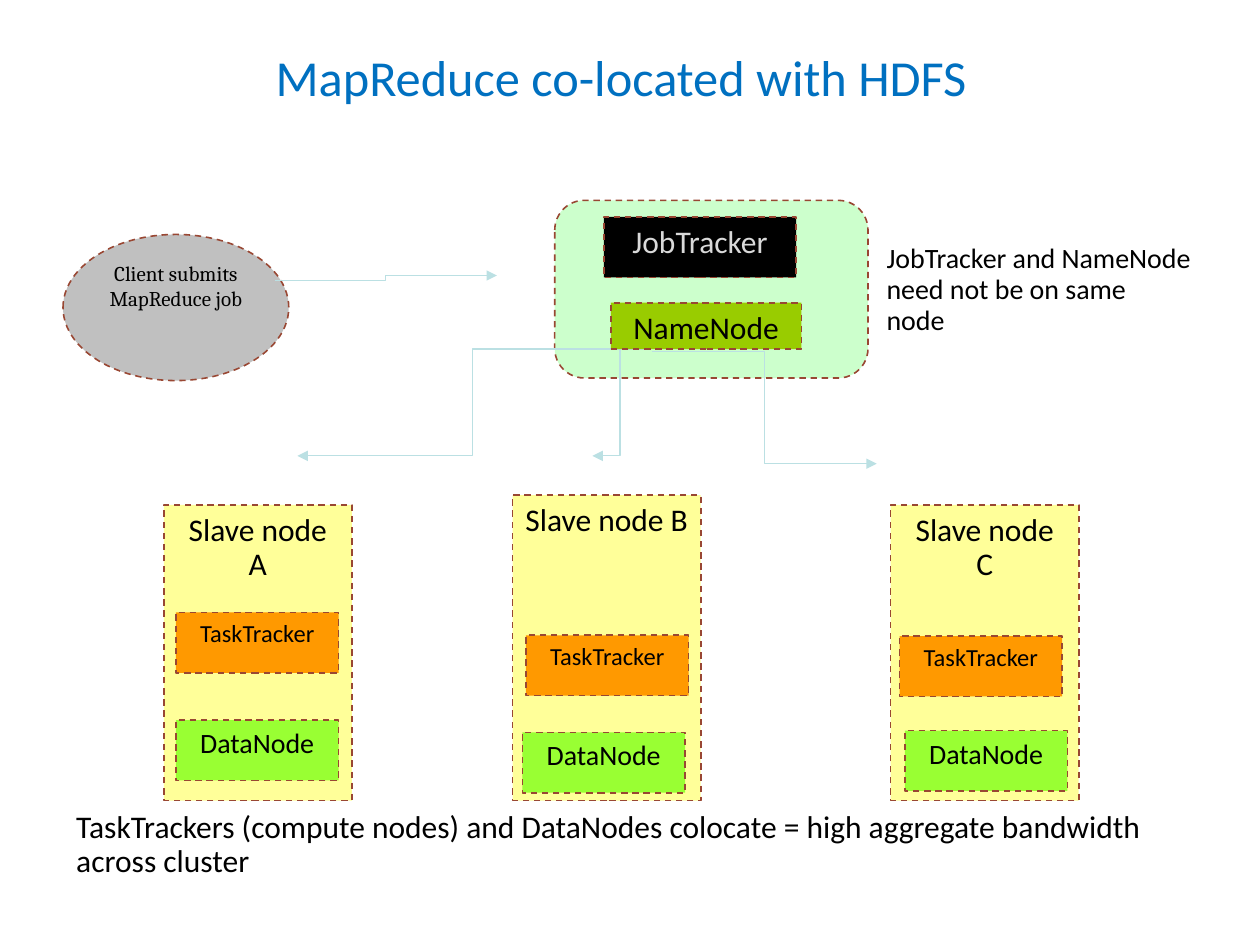
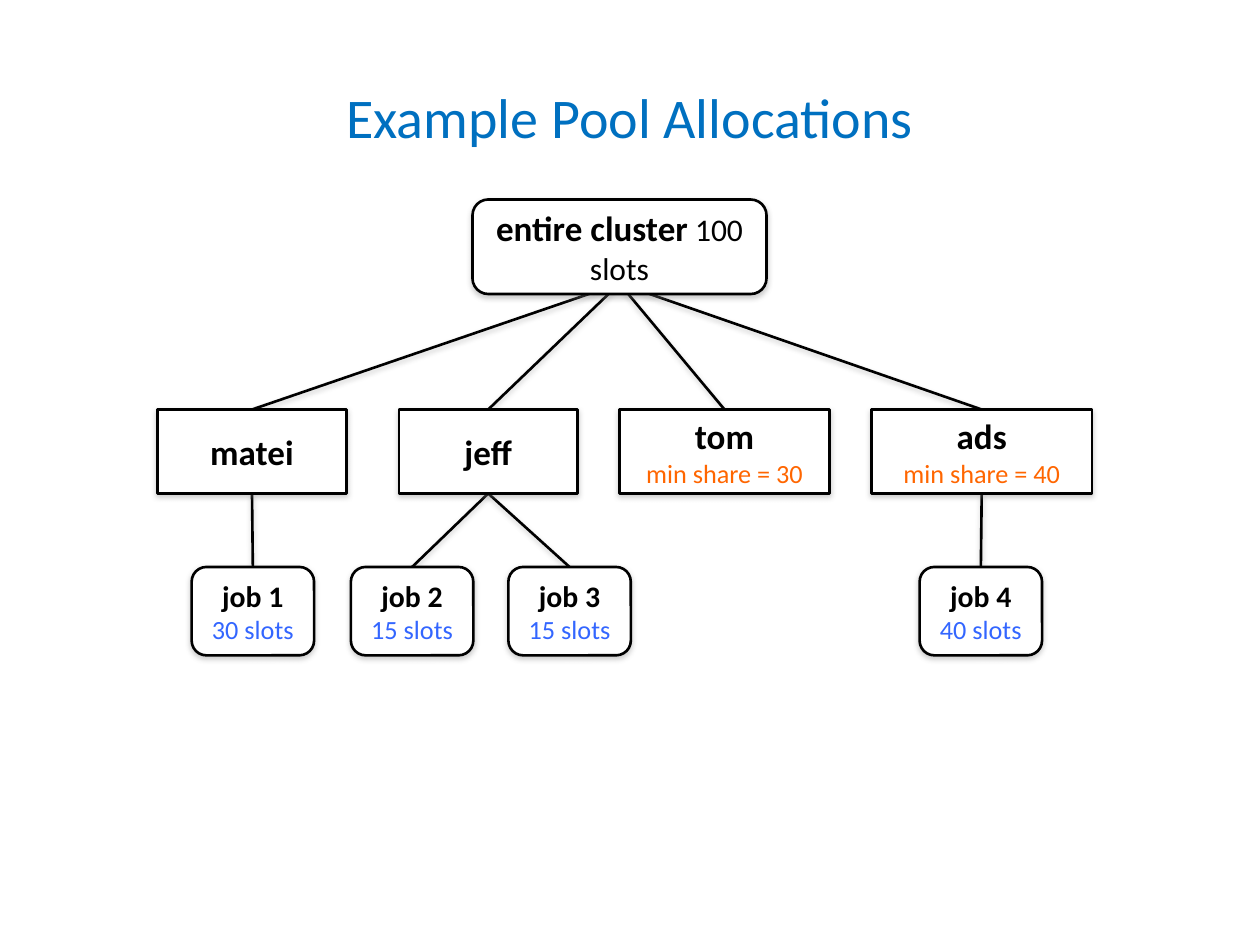
from dataclasses import dataclass

from lxml.etree import SubElement
from pptx import Presentation
from pptx.dml.color import RGBColor
from pptx.enum.dml import MSO_LINE
from pptx.enum.shapes import MSO_CONNECTOR, MSO_SHAPE
from pptx.enum.text import MSO_ANCHOR, PP_ALIGN
from pptx.oxml.ns import qn
from pptx.util import Pt


@dataclass(frozen=True)
class Theme:
    font: str = "Calibri"
    serif: str = "Cambria"
    title: str = "0070C0"
    ink: str = "000000"
    paper: str = "FFFFFF"
    pale: str = "D9D9D9"
    dash: str = "994733"
    arrow: str = "BBE0E3"
    client: str = "C0C0C0"
    master: str = "CCFFCC"
    name: str = "99CC00"
    slave: str = "FFFF99"
    task: str = "FF9900"
    data: str = "99FF33"
    share: str = "FF6600"
    slots: str = "3366FF"
    shade: str = "808080"
    dash_width: float = 0.91
    arrow_width: float = 0.75
    tree_width: float = 1.5
    tight: float = 0.91
    loose: float = 0.98
    huge: float = 32
    large: float = 28.8
    pool: float = 20
    head: float = 18
    job: float = 17
    body: float = 16
    note: float = 15
    small: float = 14
    tiny: float = 12


T = Theme()
INSETS = (7.2, 5.2, 7.2, 3.6)
RECT, ROUND, OVAL = MSO_SHAPE.RECTANGLE, MSO_SHAPE.ROUNDED_RECTANGLE, MSO_SHAPE.OVAL


def rgb(code):
    return RGBColor.from_string(code)


def put_run(para, text, size, color=T.ink, bold=False, font=T.font):
    run = para.add_run()
    run.text = text
    run.font.name = font
    run.font.size = Pt(size)
    run.font.bold = bold
    run.font.color.rgb = rgb(color)


def fill_text(frame, paras, align=PP_ALIGN.CENTER, anchor=MSO_ANCHOR.MIDDLE,
              spacing=None, insets=None):
    """Write paragraphs, each a list of run tuples for put_run."""
    frame.word_wrap = True
    frame.vertical_anchor = anchor
    if insets:
        (frame.margin_left, frame.margin_top,
         frame.margin_right, frame.margin_bottom) = map(Pt, insets)
    for i, runs in enumerate(paras):
        para = frame.add_paragraph() if i else frame.paragraphs[0]
        para.alignment = align
        para.line_spacing = spacing
        for run in runs:
            put_run(para, *run)


def add_slide(deck, title, size, place, spacing=None):
    slide = deck.slides.add_slide(deck.slide_layouts[5])
    head = slide.shapes.title
    head.left, head.top, head.width, head.height = map(Pt, place)
    fill_text(head.text_frame, [[(title, size, T.title)]], spacing=spacing)
    return slide


def add_box(slide, kind, place, fill, line, width):
    box = slide.shapes.add_shape(kind, *map(Pt, place))
    box.shadow.inherit = False
    box.fill.solid()
    box.fill.fore_color.rgb = rgb(fill)
    box.line.color.rgb = rgb(line)
    box.line.width = Pt(width)
    return box


def add_line(slide, kind, start, end, color, width):
    line = slide.shapes.add_connector(kind, *map(Pt, start + end))
    line.line.color.rgb = rgb(color)
    line.line.width = Pt(width)
    SubElement(line._element.spPr, qn("a:effectLst"))
    return line


def add_shade(shape):
    """Give a soft drop shadow to a shape that has an empty effect list."""
    effects = shape._element.spPr.find(qn("a:effectLst"))
    shade = SubElement(effects, qn("a:outerShdw"), blurRad=str(Pt(3.1)),
                       dist=str(Pt(1.6)), dir="5400000", rotWithShape="0")
    color = SubElement(shade, qn("a:srgbClr"), val=T.shade)
    SubElement(color, qn("a:alpha"), val="38000")


def add_dashed(slide, place, fill, lines=(), size=T.head, color=T.ink,
               kind=RECT, font=T.font, spacing=T.tight, insets=INSETS):
    box = add_box(slide, kind, place, fill, T.dash, T.dash_width)
    box.line.dash_style = MSO_LINE.DASH
    fill_text(box.text_frame, [[(line, size, color, False, font)] for line in lines],
              anchor=MSO_ANCHOR.TOP, spacing=spacing, insets=insets)


def add_arrow(slide, start, end):
    line = add_line(slide, MSO_CONNECTOR.ELBOW, start, end, T.arrow, T.arrow_width)
    SubElement(line.line._get_or_add_ln(), qn("a:tailEnd"), type="triangle")


def add_note(slide, place, lines, size):
    box = slide.shapes.add_textbox(*map(Pt, place))
    fill_text(box.text_frame, [[(line, size)] for line in lines], PP_ALIGN.LEFT,
              MSO_ANCHOR.TOP, T.tight, INSETS)


def add_node(slide, kind, place, paras):
    box = add_box(slide, kind, place, T.paper, T.ink, T.tree_width)
    add_shade(box)
    fill_text(box.text_frame, paras)


def add_branch(slide, start, end):
    add_shade(add_line(slide, MSO_CONNECTOR.STRAIGHT, start, end, T.ink, T.tree_width))


def draw_hdfs(deck):
    slide = add_slide(deck, "MapReduce co-located with HDFS", T.large,
                      (24, 24, 662, 42), T.loose)
    add_dashed(slide, (36, 134, 129, 83.5), T.client, ["Client submits MapReduce job"],
               T.tiny, kind=OVAL, font=T.serif, spacing=T.loose,
               insets=(7.2, 3.6, 7.2, 3.6))
    add_arrow(slide, (157, 160.5), (284, 157.5))
    add_dashed(slide, (317, 114.5, 179, 101.5), T.master, kind=ROUND)
    add_dashed(slide, (345, 124, 110, 34.5), T.ink, ["JobTracker"], color=T.pale)

    # label, slave box, then corners of its task and data boxes
    slaves = [
        (["Slave node", "A"], (93.6, 288.5, 107.5, 169), (100.5, 350), (100.5, 411.5)),
        (["Slave node B"], (293, 283, 107.5, 174.5), (300.5, 363), (298.5, 418.5)),
        (["Slave node", "C"], (509, 288.5, 107.5, 169), (514, 363.5), (517, 417.5)),
    ]
    for label, place, task, data in slaves:
        add_dashed(slide, place, T.slave, label)
        add_dashed(slide, (*task, 93, 34.5), T.task, ["TaskTracker"], T.small)
        add_dashed(slide, (*data, 93, 34.5), T.data, ["DataNode"], T.body)

    add_arrow(slide, (370, 199.5), (170, 260.5))
    add_arrow(slide, (370, 199.5), (338.5, 260.5))
    add_arrow(slide, (372.5, 201), (501, 265))
    add_dashed(slide, (349, 173, 109, 26.5), T.name, ["NameNode"])
    add_note(slide, (499.5, 134.5, 220, 76),
             ["JobTracker and NameNode", "need not be on same", "node"], T.body)
    add_note(slide, (36.5, 458, 662, 46),
             ["TaskTrackers (compute nodes) and DataNodes colocate = "
              "high aggregate bandwidth across cluster"], T.head)


def draw_pools(deck):
    slide = add_slide(deck, "Example Pool Allocations", T.huge, (36, 21.6, 648, 90))
    root = (354, 162)
    pool_top, pool_high = 234, 48
    job_top, job_wide, job_high = 324, 70, 50.5
    # name, left, width, least share, jobs as (name, slots, left)
    pools = [
        ("matei", 90, 108, None, [("job 1", 30, 109.5)]),
        ("jeff", 228, 102, None, [("job 2", 15, 200.5), ("job 3", 15, 290.5)]),
        ("tom", 354, 120, 30, []),
        ("ads", 498, 126, 40, [("job 4", 40, 525.5)]),
    ]
    for _, left, wide, _, jobs in pools:
        mid = left + wide / 2
        add_branch(slide, root, (mid, pool_top))
        for _, _, job_left in jobs:
            add_branch(slide, (mid, pool_top + pool_high),
                       (job_left + job_wide / 2, job_top))

    add_node(slide, ROUND, (270, 114, 168, 54),
             [[("entire cluster", T.pool, T.ink, True), (" ", T.head, T.ink, True),
               ("100 slots", T.head)]])
    for name, left, wide, share, jobs in pools:
        paras = [[(name, T.pool, T.ink, True)]]
        if share:
            paras.append([(f"min share = {share}", T.note, T.share)])
        add_node(slide, RECT, (left, pool_top, wide, pool_high), paras)
        for job, slots, job_left in jobs:
            add_node(slide, ROUND, (job_left, job_top, job_wide, job_high),
                     [[(job, T.job, T.ink, True)],
                      [(f"{slots} slots", T.note, T.slots)]])


def main():
    deck = Presentation()
    deck.slide_width, deck.slide_height = Pt(720), Pt(540)
    draw_hdfs(deck)
    draw_pools(deck)
    deck.save("out.pptx")


if __name__ == "__main__":
    main()
